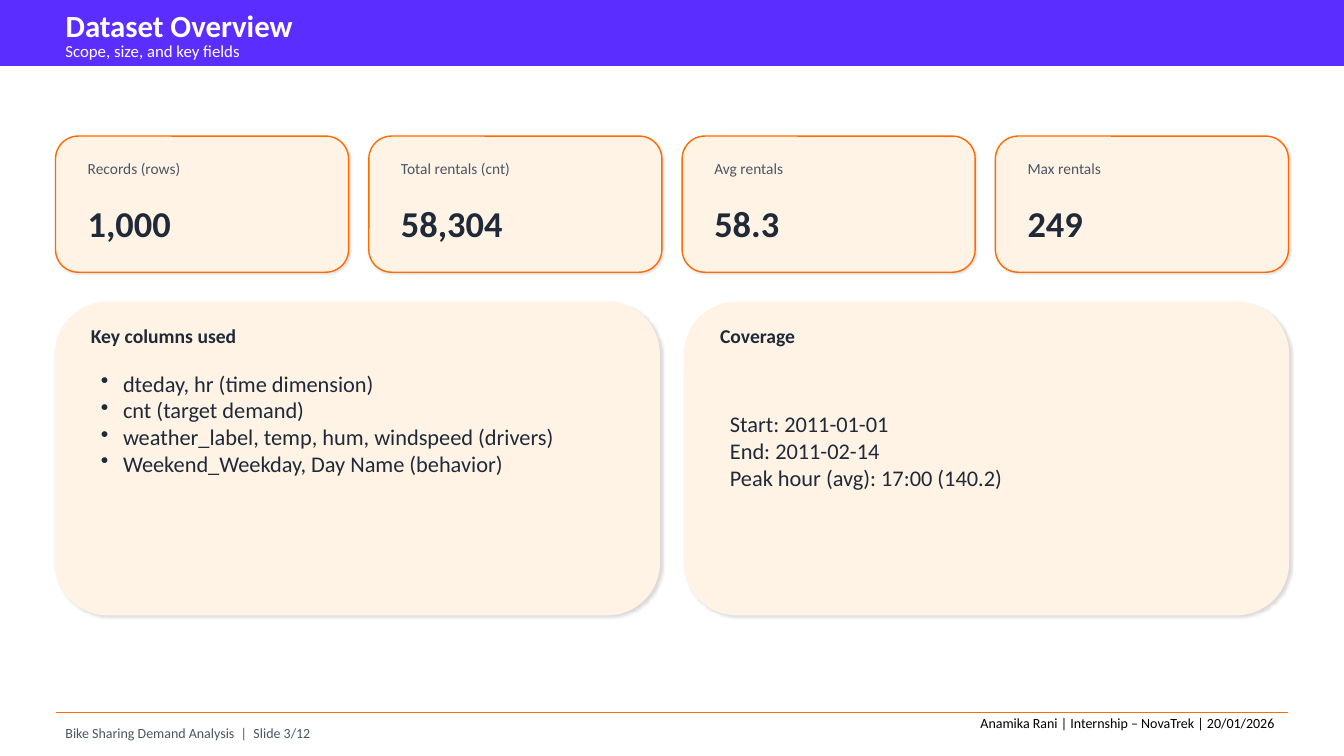
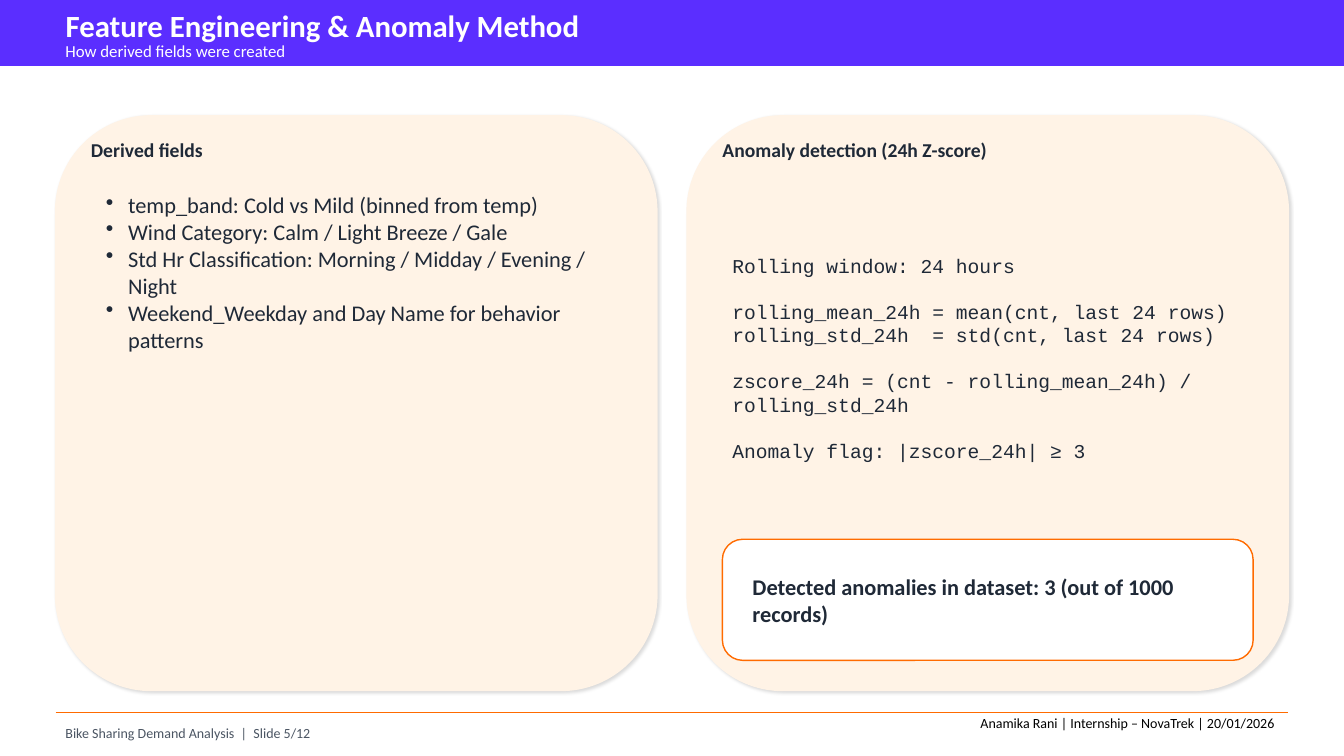
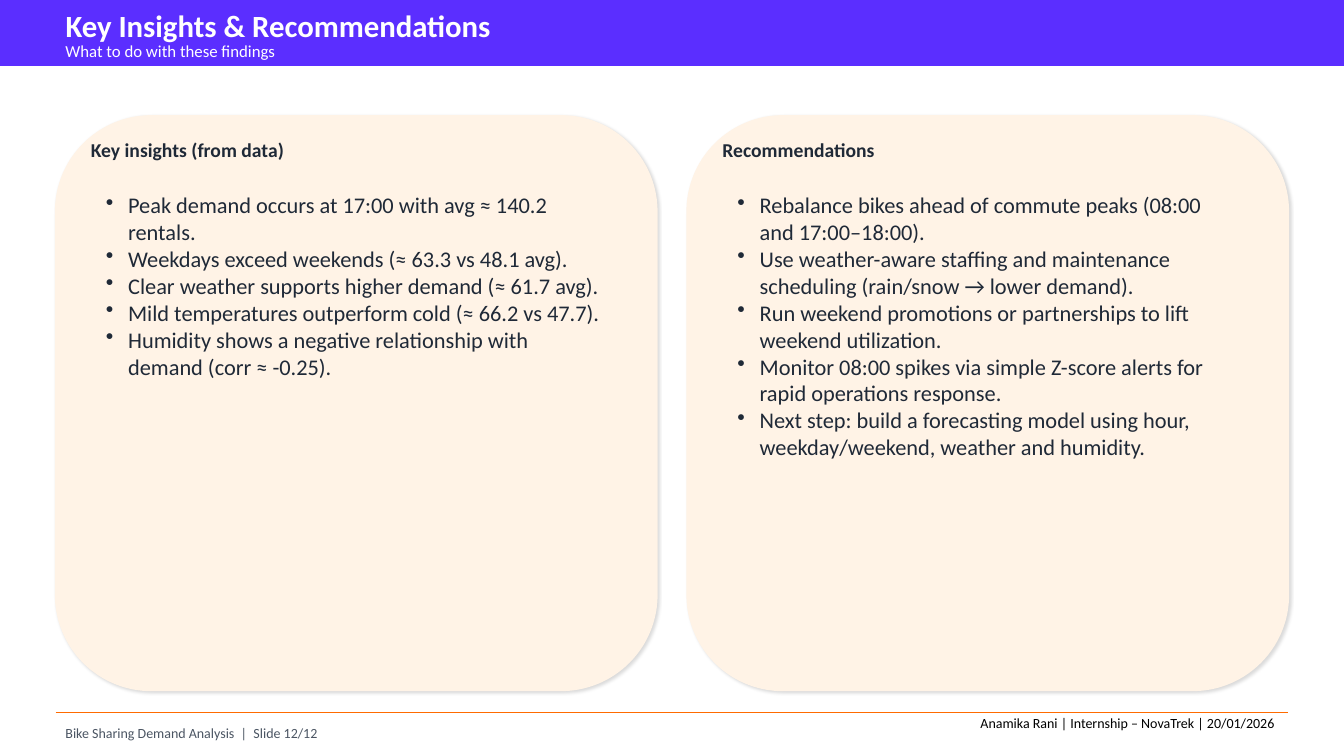
"""Build three slides of a bike sharing demand report."""
from dataclasses import dataclass

from lxml.etree import SubElement
from pptx import Presentation
from pptx.dml.color import RGBColor
from pptx.enum.shapes import MSO_CONNECTOR, MSO_SHAPE
from pptx.enum.text import MSO_ANCHOR, MSO_AUTO_SIZE, PP_ALIGN
from pptx.oxml.ns import qn
from pptx.util import Cm, Pt

FOOTER = "Bike Sharing Demand Analysis  |  Slide {}/12"
CREDIT = "Anamika Rani | Internship – NovaTrek | 20/01/2026"

SLIDES = [
    {
        "number": 3,
        "title": "Dataset Overview",
        "subtitle": "Scope, size, and key fields",
        "cards": [
            ("Records (rows)", "1,000"),
            ("Total rentals (cnt)", "58,304"),
            ("Avg rentals", "58.3"),
            ("Max rentals", "249"),
        ],
        "grid": {"top": 7.62, "height": 7.87, "gap": 0.64},
        "panels": [
            {
                "heading": "Key columns used",
                "style": "bullets",
                "body": (0.89, 1.57, 3.76),
                "lines": [
                    "dteday, hr (time dimension)",
                    "cnt (target demand)",
                    "weather_label, temp, hum, windspeed (drivers)",
                    "Weekend_Weekday, Day Name (behavior)",
                ],
            },
            {
                "heading": "Coverage",
                "style": "plain",
                "body": (0.89, 1.83, 3.81),
                "lines": [
                    "Start: 2011-01-01",
                    "End: 2011-02-14",
                    "Peak hour (avg): 17:00 (140.2)",
                ],
            },
        ],
    },
    {
        "number": 5,
        "title": "Feature Engineering & Anomaly Method",
        "subtitle": "How derived fields were created",
        "grid": {"top": 2.92, "height": 14.48, "gap": 0.76},
        "panels": [
            {
                "heading": "Derived fields",
                "style": "bullets",
                "body": (1.02, 1.78, 3.76),
                "lines": [
                    "temp_band: Cold vs Mild (binned from temp)",
                    "Wind Category: Calm / Light Breeze / Gale",
                    "Std Hr Classification: Morning / Midday / Evening / Night",
                    "Weekend_Weekday and Day Name for behavior patterns",
                ],
            },
            {
                "heading": "Anomaly detection (24h Z-score)",
                "style": "code",
                "body": (0.89, 1.78, 8.64),
                "lines": [
                    "Rolling window: 24 hours",
                    "rolling_mean_24h = mean(cnt, last 24 rows)",
                    "rolling_std_24h  = std(cnt, last 24 rows)",
                    "zscore_24h = (cnt - rolling_mean_24h) / rolling_std_24h",
                    "Anomaly flag: |zscore_24h| ≥ 3",
                ],
                "spaced": (1, 3, 4),
                "callout": "Detected anomalies in dataset: 3 (out of 1000 records)",
            },
        ],
    },
    {
        "number": 12,
        "title": "Key Insights & Recommendations",
        "subtitle": "What to do with these findings",
        "grid": {"top": 2.92, "height": 14.48, "gap": 0.76},
        "panels": [
            {
                "heading": "Key insights (from data)",
                "style": "bullets",
                "body": (1.02, 1.78, 4.39),
                "lines": [
                    "Peak demand occurs at 17:00 with avg ≈ 140.2 rentals.",
                    "Weekdays exceed weekends (≈ 63.3 vs 48.1 avg).",
                    "Clear weather supports higher demand (≈ 61.7 avg).",
                    "Mild temperatures outperform cold (≈ 66.2 vs 47.7).",
                    "Humidity shows a negative relationship with demand (corr ≈ -0.25).",
                ],
            },
            {
                "heading": "Recommendations",
                "style": "bullets",
                "body": (1.02, 1.78, 4.39),
                "lines": [
                    "Rebalance bikes ahead of commute peaks (08:00 and 17:00–18:00).",
                    "Use weather-aware staffing and maintenance scheduling (rain/snow → lower demand).",
                    "Run weekend promotions or partnerships to lift weekend utilization.",
                    "Monitor 08:00 spikes via simple Z-score alerts for rapid operations response.",
                    "Next step: build a forecasting model using hour, weekday/weekend, weather and humidity.",
                ],
            },
        ],
    },
]


@dataclass(frozen=True)
class Theme:
    """Colours, fonts and type sizes."""
    violet: str = "5B2EFF"
    orange: str = "FF6B00"
    cream: str = "FFF3E6"
    white: str = "FFFFFF"
    black: str = "000000"
    ink: str = "1F2937"
    grey: str = "4B5563"
    font: str = "Calibri"
    mono: str = "Courier New"
    title: int = 22
    value: int = 26
    body: int = 16
    heading: int = 14
    subtitle: int = 12
    label: int = 11
    footer: int = 10


THEME = Theme()
SLIDE_WIDTH, SLIDE_HEIGHT = 33.87, 19.05
MARGIN = 1.4
CONTENT_WIDTH = SLIDE_WIDTH - 2 * MARGIN
TITLE_WIDTH = 25.1
CARD_TOP, CARD_HEIGHT, CARD_GAP, CARD_INSET = 3.43, 3.43, 0.51, 0.56
PANEL_INSET, PANEL_INDENT = 0.64, 0.89
RULE_TOP = 17.96
CARD_SHADOW = (1.5, 1, 12)
PANEL_SHADOW = (2, 1.5, 15)


def columns(count, gap):
    """Return the left edges and common width of equal columns."""
    width = (CONTENT_WIDTH - gap * (count - 1)) / count
    return [MARGIN + index * (width + gap) for index in range(count)], width


def write(shape, lines, size, color, bold=False, font=THEME.font, anchor=MSO_ANCHOR.MIDDLE):
    """Fill a shape with left-aligned paragraphs of one style."""
    frame = shape.text_frame
    frame.text = "\n".join(lines)
    frame.word_wrap = True
    frame.auto_size = MSO_AUTO_SIZE.NONE
    frame.vertical_anchor = anchor
    for para in frame.paragraphs:
        para.alignment = PP_ALIGN.LEFT
        for span in para.runs:
            span.font.name = font
            span.font.size = Pt(size)
            span.font.bold = bold
            span.font.color.rgb = RGBColor.from_string(color)
    return frame


def add_text(slide, area, lines, size, color, **style):
    """Add a text box and return its frame."""
    box = slide.shapes.add_textbox(*map(Cm, area))
    return write(box, lines, size, color, **style)


def add_block(slide, kind, area, fill, line, shadow=None):
    """Add a filled shape, with a soft shadow if one is given."""
    block = slide.shapes.add_shape(kind, *map(Cm, area))
    block.fill.solid()
    block.fill.fore_color.rgb = RGBColor.from_string(fill)
    block.line.color.rgb = RGBColor.from_string(line)
    block.line.width = Pt(1)
    block.shadow.inherit = False
    if shadow:
        blur, distance, opacity = shadow
        effects = block.element.spPr.find(qn("a:effectLst"))
        outer = SubElement(effects, qn("a:outerShdw"), blurRad=str(Pt(blur)),
                           dist=str(Pt(distance)), dir="2700000", rotWithShape="0")
        tint = SubElement(outer, qn("a:srgbClr"), val=THEME.black)
        SubElement(tint, qn("a:alpha"), val=str(opacity * 1000))
    return block


def add_bullets(frame):
    """Give every paragraph a hanging bullet."""
    for para in frame.paragraphs:
        properties = para._p.get_or_add_pPr()
        properties.set("marL", str(Cm(0.56)))
        properties.set("indent", str(-Cm(0.56)))
        SubElement(properties, qn("a:buChar"), char="•")


def add_header(slide, title, subtitle):
    """Add the band and put the title and subtitle on it."""
    band = add_block(slide, MSO_SHAPE.RECTANGLE, (0, 0, SLIDE_WIDTH, 1.65), THEME.violet, THEME.violet)
    heading = slide.shapes.title
    band.element.addnext(heading.element)
    heading.left, heading.top, heading.width, heading.height = map(Cm, (MARGIN, 0.25, TITLE_WIDTH, 0.76))
    write(heading, [title], THEME.title, THEME.white, bold=True)
    add_text(slide, (MARGIN, 1.04, TITLE_WIDTH, 0.46), [subtitle], THEME.subtitle, THEME.white)


def add_footer(slide, number):
    """Add the footer text, rule and credit."""
    add_text(slide, (MARGIN, 18.16, CONTENT_WIDTH, 0.64), [FOOTER.format(number)], THEME.footer, THEME.grey)
    ends = (MARGIN, RULE_TOP, MARGIN + CONTENT_WIDTH, RULE_TOP)
    rule = slide.shapes.add_connector(MSO_CONNECTOR.STRAIGHT, *map(Cm, ends))
    rule.line.color.rgb = RGBColor.from_string(THEME.orange)
    rule.line.width = Pt(1)
    SubElement(rule.element.spPr, qn("a:effectLst"))
    credit = add_text(slide, (24.46, 17.88, 8, 0.69), [CREDIT], THEME.footer, THEME.black,
                      anchor=MSO_ANCHOR.TOP)
    credit.word_wrap = False
    credit.auto_size = MSO_AUTO_SIZE.SHAPE_TO_FIT_TEXT


def add_cards(slide, cards):
    """Add a row of figure cards."""
    lefts, width = columns(len(cards), CARD_GAP)
    for left, (label, value) in zip(lefts, cards):
        add_block(slide, MSO_SHAPE.ROUNDED_RECTANGLE, (left, CARD_TOP, width, CARD_HEIGHT),
                  THEME.cream, THEME.orange, CARD_SHADOW)
        text_left, text_width = left + CARD_INSET, width - 2 * CARD_INSET
        add_text(slide, (text_left, CARD_TOP + 0.46, text_width, 0.71), [label], THEME.label, THEME.grey)
        add_text(slide, (text_left, CARD_TOP + 1.17, text_width, 2.03), [value], THEME.value, THEME.ink,
                 bold=True)


def add_panel(slide, panel, left, top, width, height):
    """Add a panel with its heading, body and optional callout."""
    add_block(slide, MSO_SHAPE.ROUNDED_RECTANGLE, (left, top, width, height),
              THEME.cream, THEME.cream, PANEL_SHADOW)
    add_text(slide, (left + PANEL_INSET, top + 0.46, width - 2 * PANEL_INSET, 0.76),
             [panel["heading"]], THEME.heading, THEME.ink, bold=True)
    indent, drop, body_height = panel["body"]
    area = (left + indent, top + drop, width - 2 * indent, body_height)
    is_code, is_list = panel["style"] == "code", panel["style"] == "bullets"
    frame = add_text(slide, area, panel["lines"], THEME.heading if is_code else THEME.body, THEME.ink,
                     font=THEME.mono if is_code else THEME.font,
                     anchor=MSO_ANCHOR.TOP if is_list else MSO_ANCHOR.MIDDLE)
    if is_list:
        add_bullets(frame)
    for index in panel.get("spaced", ()):
        frame.paragraphs[index].space_before = Pt(16)
    if "callout" in panel:
        area = (left + PANEL_INDENT, top + 10.67, width - 2 * PANEL_INDENT, 3.05)
        callout = add_block(slide, MSO_SHAPE.ROUNDED_RECTANGLE, area, THEME.white, THEME.orange)
        frame = write(callout, [panel["callout"]], THEME.body, THEME.ink, bold=True)
        frame.margin_left = frame.margin_right = Cm(0.61)


def main():
    """Build and save the deck."""
    deck = Presentation()
    deck.slide_width, deck.slide_height = Cm(SLIDE_WIDTH), Cm(SLIDE_HEIGHT)
    for page in SLIDES:
        slide = deck.slides.add_slide(deck.slide_layouts[5])
        add_header(slide, page["title"], page["subtitle"])
        add_cards(slide, page.get("cards", []))if page.get("cards") else None
        grid = page["grid"]
        lefts, width = columns(len(page["panels"]), grid["gap"])
        for left, panel in zip(lefts, page["panels"]):
            add_panel(slide, panel, left, grid["top"], width, grid["height"])
        add_footer(slide, page["number"])
    deck.save("out.pptx")


if __name__ == "__main__":
    main()
